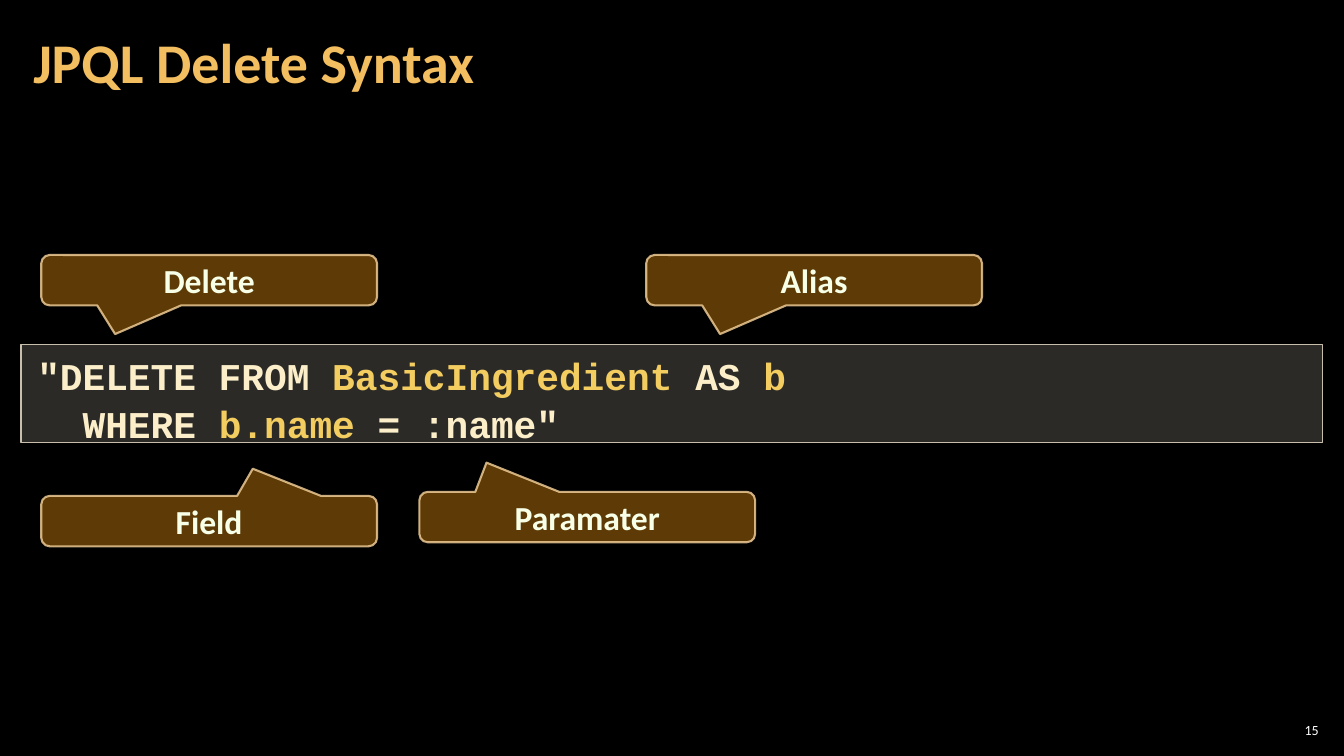
from lxml import etree
from pptx import Presentation
from pptx.dml.color import RGBColor
from pptx.enum.shapes import MSO_SHAPE
from pptx.enum.text import MSO_ANCHOR, MSO_AUTO_SIZE, PP_ALIGN
from pptx.oxml.ns import qn
from pptx.util import Inches, Pt

CALLOUT = MSO_SHAPE.ROUNDED_RECTANGULAR_CALLOUT
MIDDLE, TOP = MSO_ANCHOR.MIDDLE, MSO_ANCHOR.TOP
LEFT, CENTER, RIGHT = PP_ALIGN.LEFT, PP_ALIGN.CENTER, PP_ALIGN.RIGHT
NO_FIT = MSO_AUTO_SIZE.NONE

CREAM, GOLD = "FBEEC9", "F3CD60"
CODE = [
    [('"DELETE FROM ', CREAM), ("BasicIngredient", GOLD), (" AS ", CREAM), ("b", GOLD)],
    [("  WHERE ", CREAM), ("b.name", GOLD), (' = :name"', CREAM)],
]
LABELS = [
    ("Alias", 6.41, 2.53, -0.28, 1.07),
    ("Field", 0.41, 4.92, 0.13, -1.04),
    ("Paramater", 4.16, 4.88, -0.3, -1.08),
    ("Delete", 0.41, 2.53, -0.28, 1.07),
]


def paint(color, code, alpha=100):
    color.rgb = RGBColor.from_string(code)
    if alpha < 100:
        node = color._xFill.find(qn("a:srgbClr"))
        etree.SubElement(node, qn("a:alpha"), val=str(alpha * 1000))


def fill(target, code, alpha=100):
    target.solid()
    paint(target.fore_color, code, alpha)


def place(shape, left, top, width, height):
    shape.left, shape.top = Inches(left), Inches(top)
    shape.width, shape.height = Inches(width), Inches(height)


def frame(shape, anchor, side, edge):
    box = shape.text_frame
    box.word_wrap = True
    box.auto_size = NO_FIT
    box.vertical_anchor = anchor
    box.margin_left = box.margin_right = Inches(side)
    box.margin_top = box.margin_bottom = Inches(edge)
    return box


def style(para, size, face="Calibri", code=None, bold=True, align=LEFT):
    para.alignment = align
    font = para.font
    font.name, font.size, font.bold = face, Pt(size), bold
    if code:
        paint(font.color, code)


def add_title(slide, text):
    title = slide.shapes.title
    place(title, 0.21, 0.04, 10.47, 1.21)
    para = frame(title, MIDDLE, 0.12, 0.04).paragraphs[0]
    para.text = text
    para.line_spacing = 0.9
    style(para, 40, code="F3BE60")


def add_code(slide, lines):
    body = slide.placeholders[1]
    place(body, 0.21, 3.42, 12.91, 0.97)
    fill(body.fill, "D9D5C7", 20)
    fill(body.line.fill, "C7BFAC")
    body.line.width = Pt(1)
    box = frame(body, TOP, 0.16, 0.08)
    for row, parts in enumerate(lines):
        para = box.add_paragraph() if row else box.paragraphs[0]
        style(para, 27, "Courier New")
        para.space_before = Pt(2)
        props = para._p.get_or_add_pPr()
        props.set("marL", "0")
        props.set("indent", "0")
        props.insert_element_before(
            etree.SubElement(props, qn("a:buNone")), "a:tabLst", "a:defRPr", "a:extLst"
        )
        for text, code in parts:
            run = para.add_run()
            run.text = text
            paint(run.font.color, code)


def add_label(slide, text, left, top, tip_x, tip_y):
    shape = slide.shapes.add_shape(
        CALLOUT, Inches(left), Inches(top), Inches(3.33), Inches(0.5)
    )
    shape.shadow.inherit = False
    shape.adjustments[0] = tip_x
    shape.adjustments[1] = tip_y
    fill(shape.fill, "643F07", 95)
    fill(shape.line.fill, "F8D49E", 80)
    shape.line.width = Pt(1.5)
    para = frame(shape, MIDDLE, 0.1, 0.05).paragraphs[0]
    para.text = text
    style(para, 24, code="F7FFE7", align=CENTER)


def add_number(slide, text):
    shape = slide.shapes.add_textbox(
        Inches(12.65), Inches(7.14), Inches(0.47), Inches(0.21)
    )
    para = frame(shape, MIDDLE, 0.04, 0.04).paragraphs[0]
    para.text = text
    style(para, 10, code="FFFFFF", bold=False, align=RIGHT)


def main():
    deck = Presentation()
    deck.slide_width, deck.slide_height = Inches(13.33), Inches(7.5)
    slide = deck.slides.add_slide(deck.slide_layouts[1])
    fill(slide.background.fill, "000000")
    add_number(slide, "15")
    add_title(slide, "JPQL Delete Syntax")
    add_code(slide, CODE)
    for label in LABELS:
        add_label(slide, *label)
    deck.save("out.pptx")


if __name__ == "__main__":
    main()
